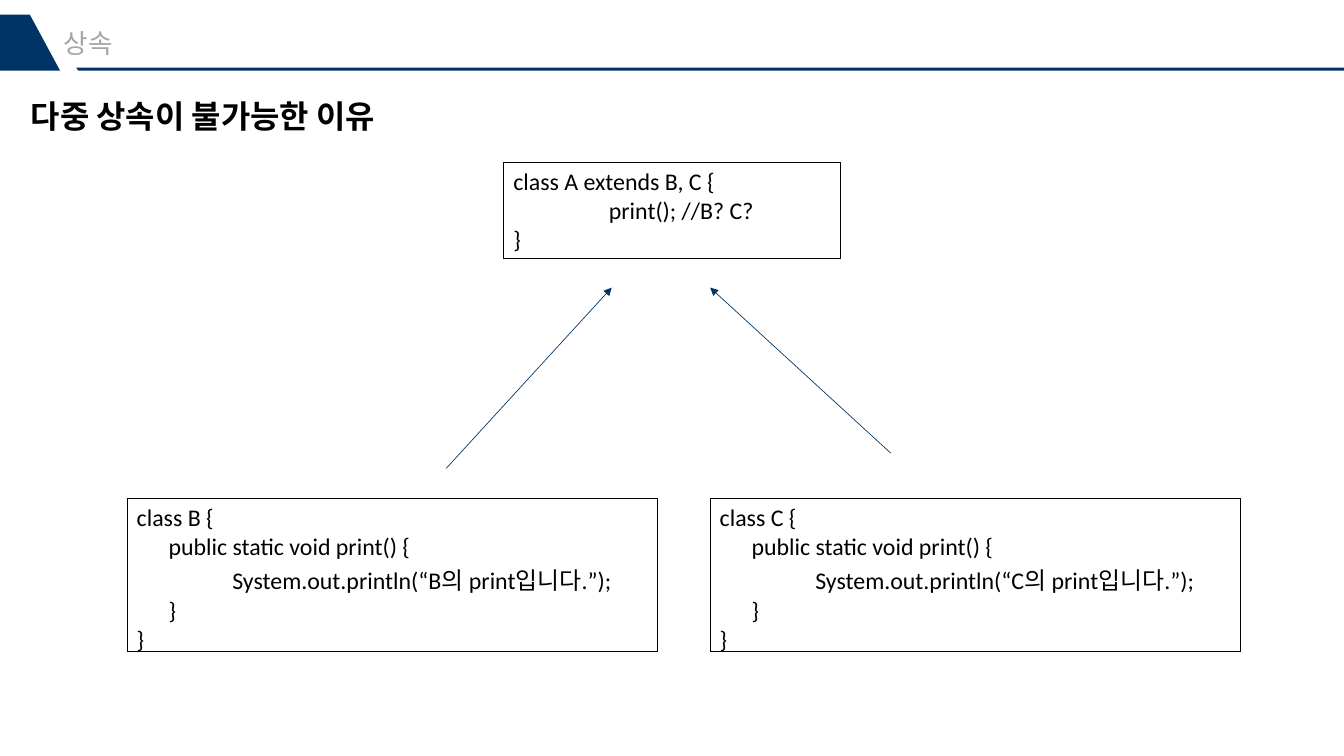
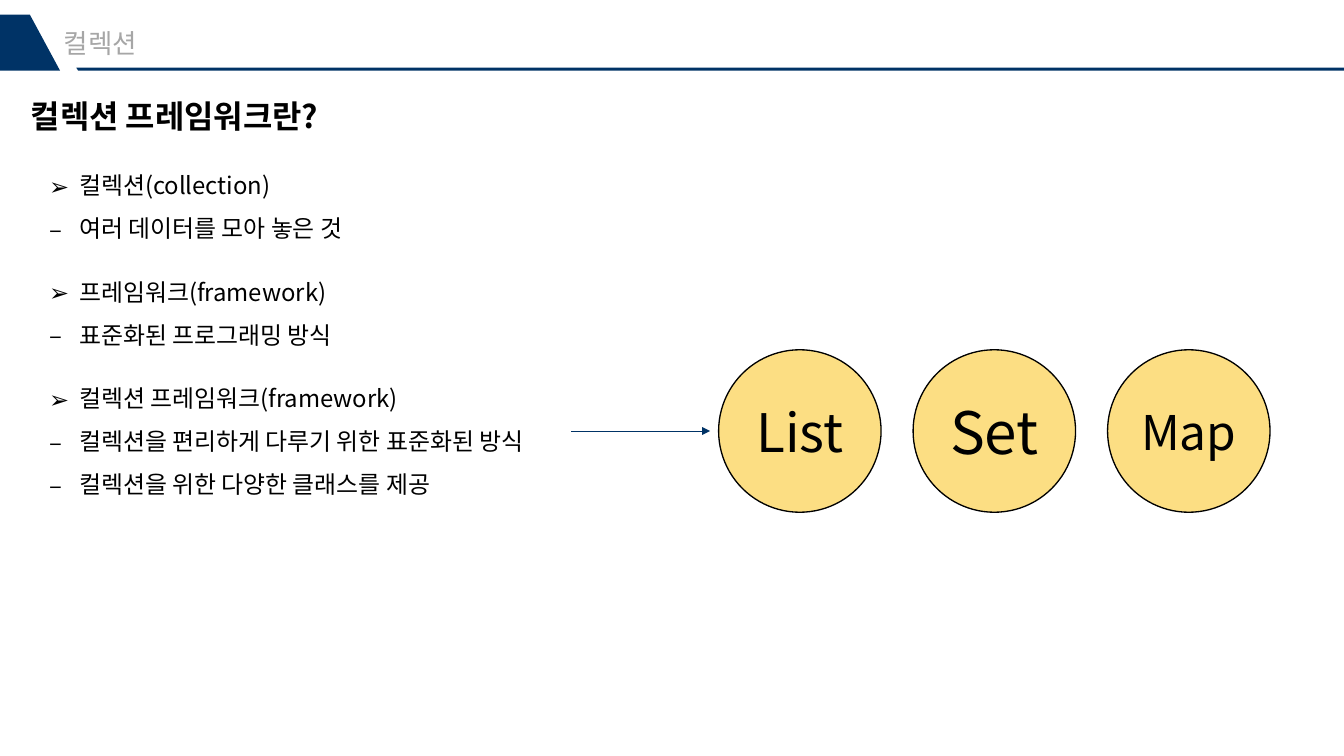
from lxml.etree import SubElement
from pptx import Presentation
from pptx.dml.color import RGBColor
from pptx.enum.shapes import MSO_CONNECTOR, MSO_SHAPE
from pptx.enum.text import MSO_ANCHOR, MSO_AUTO_SIZE, PP_ALIGN
from pptx.oxml.ns import qn
from pptx.util import Pt

NAVY = RGBColor(0x00, 0x33, 0x66)
GRAY = RGBColor(0xA6, 0xA6, 0xA6)
BLACK = RGBColor(0x00, 0x00, 0x00)
AMBER = RGBColor(0xFB, 0xBF, 0x09)

KOREAN_FONT = "Noto Sans CJK KR"
CODE_FONT = "Calibri"
SLIDE_WIDTH, SLIDE_HEIGHT = 1012.5, 569.5

RULE_OUTLINE = [(57.5, 51), (SLIDE_WIDTH, 51), (SLIDE_WIDTH, 53.3), (59, 53.3)]
TAB_OUTLINE = [(22.5, 11), (45.3, 53.3), (0, 53.3), (0, 11)]

METHOD_INDENT, BODY_INDENT = 24, 72
BULLET_INDENT = 22.5


def write_lines(text_frame, lines, size, color=BLACK, font=KOREAN_FONT, bold=False):
    """Write one paragraph per line, all in the same style."""
    text_frame.text = "\n".join(lines)
    for paragraph in text_frame.paragraphs:
        for run in paragraph.runs:
            run.font.size = Pt(size)
            run.font.name = font
            run.font.bold = bold
            run.font.color.rgb = color
            SubElement(run._r.get_or_add_rPr(), qn("a:ea"), typeface=KOREAN_FONT)
    return text_frame.paragraphs


def set_indent(paragraph, left, first=0):
    properties = paragraph._p.get_or_add_pPr()
    properties.set("marL", str(Pt(left)))
    properties.set("indent", str(Pt(first)))
    return properties


def place(shape, left, top, width, height):
    shape.left, shape.top = Pt(left), Pt(top)
    shape.width, shape.height = Pt(width), Pt(height)


def add_text_box(slide, left, top, width, height, wrap=True):
    box = slide.shapes.add_textbox(Pt(left), Pt(top), Pt(width), Pt(height))
    box.text_frame.word_wrap = wrap
    box.text_frame.auto_size = MSO_AUTO_SIZE.SHAPE_TO_FIT_TEXT
    return box.text_frame


def add_outline(slide, points):
    start, *rest = [(Pt(x), Pt(y)) for x, y in points]
    builder = slide.shapes.build_freeform(*start)
    builder.add_line_segments(rest, close=True)
    shape = builder.convert_to_shape()
    shape.shadow.inherit = False
    shape.fill.solid()
    shape.fill.fore_color.rgb = NAVY
    shape.line.fill.background()


def add_header(slide, chapter):
    """Draw the band with the chapter name on it."""
    for outline in (RULE_OUTLINE, TAB_OUTLINE):
        add_outline(slide, outline)
    frame = add_text_box(slide, 48, 20, 241, 24.5)
    frame.margin_left = frame.margin_right = 0
    frame.margin_top = frame.margin_bottom = 0
    paragraph = write_lines(frame, [chapter], 20, GRAY)[0]
    paragraph.space_before, paragraph.space_after = Pt(5), Pt(6)


def add_titled_slide(presentation, chapter, title, title_width):
    slide = presentation.slides.add_slide(presentation.slide_layouts[5])
    add_header(slide, chapter)
    place(slide.shapes.title, 16, 69, title_width, 36)
    frame = slide.shapes.title.text_frame
    frame.word_wrap = True
    frame.auto_size = MSO_AUTO_SIZE.SHAPE_TO_FIT_TEXT
    frame.vertical_anchor = MSO_ANCHOR.TOP
    write_lines(frame, [title], 24, bold=True)[0].alignment = PP_ALIGN.LEFT
    return slide


def add_arrow(slide, start, end):
    points = [Pt(value) for value in (*start, *end)]
    arrow = slide.shapes.add_connector(MSO_CONNECTOR.STRAIGHT, *points)
    arrow.line.color.rgb = NAVY
    arrow.line.width = Pt(0.5)
    SubElement(arrow.line._get_or_add_ln(), qn("a:tailEnd"), type="triangle")
    SubElement(arrow._element.spPr, qn("a:effectLst"))


def add_cell_borders(cell):
    properties = cell._tc.get_or_add_tcPr()
    for side in ("a:lnL", "a:lnR", "a:lnT", "a:lnB"):
        line = SubElement(properties, qn(side), w=str(Pt(1)))
        fill = SubElement(line, qn("a:solidFill"))
        SubElement(fill, qn("a:srgbClr"), val=str(BLACK))


def add_code_box(slide, left, top, width, height, code, bottom_margin=3.6):
    """Draw a one-cell table; code is a list of (indent, line)."""
    table = slide.shapes.add_table(
        1, 1, Pt(left), Pt(top), Pt(width), Pt(height)).table
    table.first_row = table.horz_banding = False
    cell = table.cell(0, 0)
    cell.margin_bottom = Pt(bottom_margin)
    add_cell_borders(cell)
    cell.fill.background()
    paragraphs = write_lines(
        cell.text_frame, [line for _, line in code], 18, font=CODE_FONT)
    for paragraph, (indent, _) in zip(paragraphs, code):
        set_indent(paragraph, indent)


def add_bullet_group(slide, left, top, width, term, details):
    lines = [term, *details]
    frame = add_text_box(slide, left, top, width, 7.2 + 32.7 * len(lines), wrap=False)
    for index, paragraph in enumerate(write_lines(frame, lines, 18)):
        paragraph.line_spacing = 1.5
        properties = set_indent(paragraph, BULLET_INDENT, -BULLET_INDENT)
        SubElement(properties, qn("a:buFont"), typeface=KOREAN_FONT)
        SubElement(properties, qn("a:buChar"), char="‒" if index else "➢")


def add_circle(slide, left, top, diameter, label, size):
    circle = slide.shapes.add_shape(
        MSO_SHAPE.FLOWCHART_CONNECTOR, Pt(left), Pt(top), Pt(diameter), Pt(diameter))
    circle.shadow.inherit = False
    circle.fill.solid()
    circle.fill.fore_color.rgb = AMBER
    color = circle._element.spPr.find(".//" + qn("a:srgbClr"))
    SubElement(color, qn("a:alpha"), val="50000")
    circle.line.color.rgb = BLACK
    circle.line.width = Pt(1)
    circle.text_frame.vertical_anchor = MSO_ANCHOR.MIDDLE
    write_lines(circle.text_frame, [label], size)[0].alignment = PP_ALIGN.CENTER


def build_inheritance_slide(presentation):
    slide = add_titled_slide(presentation, "상속", "다중 상속이 불가능한 이유", 320.5)
    add_code_box(slide, 379.5, 122.4, 254, 72, [
        (0, "class A extends B, C {"),
        (BODY_INDENT, "print(); //B? C?"),
        (0, "}"),
    ])
    for name, left in (("B", 95.8), ("C", 535)):
        add_code_box(slide, left, 375.8, 399.6, 115.2, [
            (0, f"class {name} {{"),
            (METHOD_INDENT, "public static void print() {"),
            (BODY_INDENT, f"System.out.println(“{name}의 print입니다.”);"),
            (METHOD_INDENT, "}"),
            (0, "}"),
        ], bottom_margin=0)
    add_arrow(slide, (336.2, 352.8), (460.8, 216.7))
    add_arrow(slide, (671, 341.3), (535, 216.7))


def build_collection_slide(presentation):
    slide = add_titled_slide(presentation, "컬렉션", "컬렉션 프레임워크란?", 264)
    groups = [
        (250.5, "컬렉션(collection)", ["여러 데이터를 모아 놓은 것"]),
        (240, "프레임워크(framework)", ["표준화된 프로그래밍 방식"]),
        (395, "컬렉션 프레임워크(framework)",
         ["컬렉션을 편리하게 다루기 위한 표준화된 방식",
          "컬렉션을 위한 다양한 클래스를 제공"]),
    ]
    for index, (width, term, details) in enumerate(groups):
        add_bullet_group(slide, 30, 114.5 + 80 * index, width, term, details)
    add_arrow(slide, (430.5, 324.7), (535, 324.7))
    for index, (label, size) in enumerate((("List", 40), ("Set", 44), ("Map", 36))):
        add_circle(slide, 541.4 + 146.5 * index, 263.5, 122.4, label, size)


def main():
    presentation = Presentation()
    presentation.slide_width = Pt(SLIDE_WIDTH)
    presentation.slide_height = Pt(SLIDE_HEIGHT)
    build_inheritance_slide(presentation)
    build_collection_slide(presentation)
    presentation.save("out.pptx")


if __name__ == "__main__":
    main()
